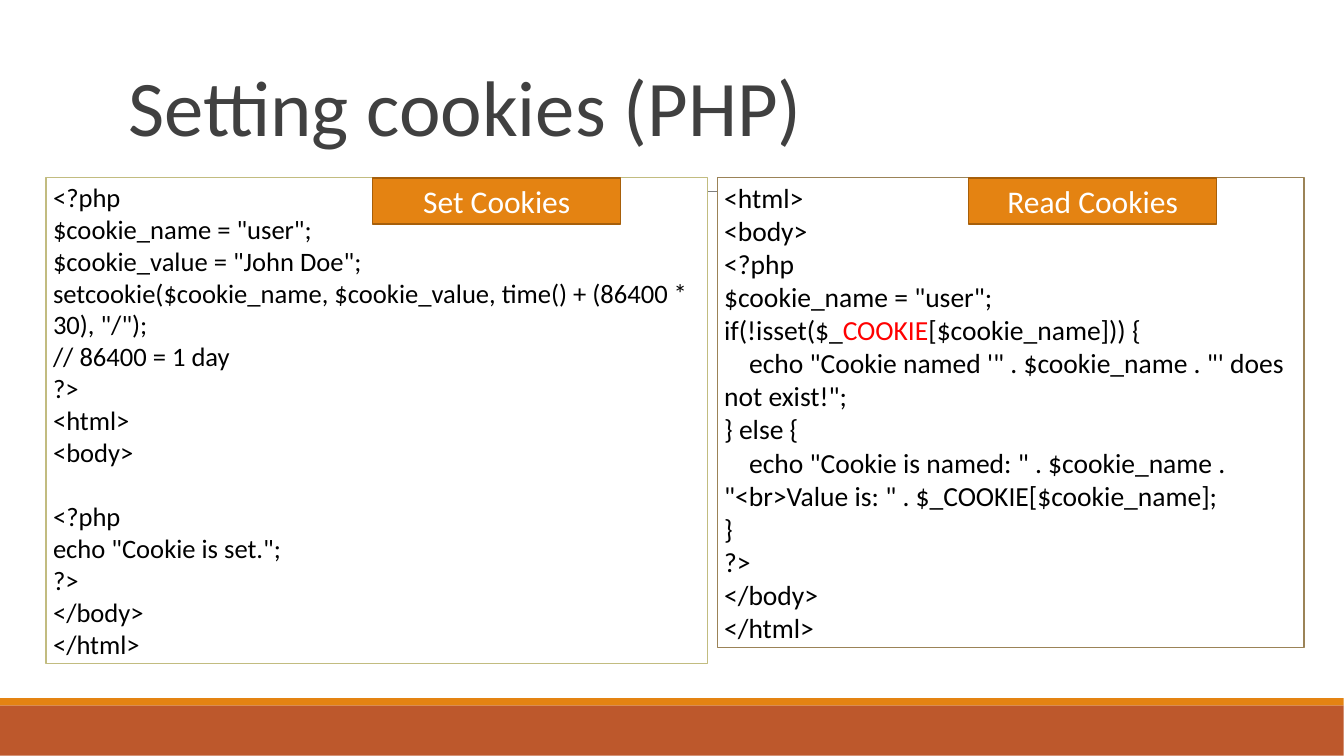
from dataclasses import dataclass

import pptx
import pptx.dml.color
import pptx.enum.shapes
import pptx.enum.text
import pptx.oxml.ns
import pptx.util
from lxml import etree

Inches = pptx.util.Inches
Pt = pptx.util.Pt
Align = pptx.enum.text.PP_ALIGN
Anchor = pptx.enum.text.MSO_ANCHOR

SLIDE_WIDTH = 18.965
SLIDE_HEIGHT = 10.665
FONT = "Calibri"
MARK = "¦"  # encloses highlighted code
LINE_BREAK = "\v"
COLORS = {
    "white": "FFFFFF",
    "black": "000000",
    "title": "404040",
    "rule": "7F7F7F",
    "orange": "E48312",
    "orange_edge": "A75F0A",
    "rust": "BD582C",
    "set_edge": "C2BC80",
    "read_edge": "9B8357",
    "highlight": "FF0000",
}

SET_CODE = """<?php
$cookie_name = "user";
$cookie_value = "John Doe";
setcookie($cookie_name, $cookie_value, time() + (86400 * 30), "/");
// 86400 = 1 day
?>
<html>
<body>

<?php
echo "Cookie is set.";
?>
</body>
</html>"""

READ_CODE = """<html>
<body>
<?php
$cookie_name = "user";
if(!isset($_¦COOKIE¦[$cookie_name])) {
    echo "Cookie named '" . $cookie_name . "' does not exist!";
} else {
    echo "Cookie is named: " . $cookie_name . "<br>Value is: " . $_COOKIE[$cookie_name];
}
?>
</body>
</html>""".replace("\n", LINE_BREAK)


@dataclass(frozen=True)
class Area:
    left: float
    top: float
    width: float
    height: float

    def lengths(self) -> list:
        return [Inches(n) for n in (self.left, self.top, self.width, self.height)]


@dataclass(frozen=True)
class CodePanel:
    area: Area
    edge: str
    size: float
    code: str
    label: str
    label_left: float


PANELS = [
    CodePanel(Area(0.65, 2.5, 9.33, 6.86), "set_edge", 27, SET_CODE, "Set Cookies", 5.26),
    CodePanel(Area(10.12, 2.5, 8.28, 6.64), "read_edge", 28, READ_CODE, "Read Cookies", 13.67),
]


def rgb(name: str) -> pptx.dml.color.RGBColor:
    return pptx.dml.color.RGBColor.from_string(COLORS[name])


def add_box(page, area: Area, fill: str, edge: str = ""):
    box = page.shapes.add_shape(pptx.enum.shapes.MSO_SHAPE.RECTANGLE, *area.lengths())
    box.shadow.inherit = False
    box.fill.solid()
    box.fill.fore_color.rgb = rgb(fill)
    if edge:
        box.line.color.rgb = rgb(edge)
        box.line.width = Pt(1.25)
    else:
        box.line.fill.background()
    return box


def add_spans(para, text: str) -> None:
    """Add runs and line breaks, colouring the marked parts."""
    for part, words in enumerate(text.split(MARK)):
        for number, line in enumerate(words.split(LINE_BREAK)):
            if number:
                para.add_line_break()
            span = para.add_run()
            span.text = line
            if part % 2:
                span.font.color.rgb = rgb("highlight")


def write(box, text: str, size: float, color: str, align=Align.LEFT, anchor=Anchor.MIDDLE) -> None:
    frame = box.text_frame
    frame.word_wrap = True
    frame.vertical_anchor = anchor
    for number, line in enumerate(text.split("\n")):
        para = frame.add_paragraph() if number else frame.paragraphs[0]
        para.alignment = align
        para.font.name = FONT
        para.font.size = Pt(size)
        para.font.color.rgb = rgb(color)
        if line:
            add_spans(para, line)
        else:
            end_tag = pptx.oxml.ns.qn("a:endParaRPr")
            etree.SubElement(para._p, end_tag, sz=str(size * 100))


def add_rule(page) -> None:
    rule = page.shapes.add_connector(
        pptx.enum.shapes.MSO_CONNECTOR.STRAIGHT,
        Inches(1.86), Inches(2.7), Inches(17.36), Inches(2.7),
    )
    rule.line.color.rgb = rgb("rule")
    rule.line.width = Pt(0.5)
    etree.SubElement(rule._element.spPr, pptx.oxml.ns.qn("a:effectLst"))


def add_title(page) -> None:
    title = page.shapes.add_textbox(*Area(1.71, 0.45, 15.65, 2.26).lengths())
    write(title, "Setting cookies (PHP)", 80, "title")
    title.text_frame.paragraphs[0].line_spacing = 0.85


def main() -> None:
    deck = pptx.Presentation()
    deck.slide_width = Inches(SLIDE_WIDTH)
    deck.slide_height = Inches(SLIDE_HEIGHT)
    page = deck.slides.add_slide(deck.slide_layouts[6])

    add_box(page, Area(0, 9.95, 18.96, 0.71), "rust")
    add_box(page, Area(0, 9.85, 18.96, 0.1), "orange")
    add_rule(page)
    add_title(page)
    for panel in PANELS:
        code_box = add_box(page, panel.area, "white", panel.edge)
        write(code_box, panel.code, panel.size, "black", anchor=Anchor.TOP)
    for panel in PANELS:
        label = add_box(page, Area(panel.label_left, 2.51, 3.5, 0.65), "orange", "orange_edge")
        write(label, panel.label, 32, "white", align=Align.CENTER)
    deck.save("out.pptx")


if __name__ == "__main__":
    main()
